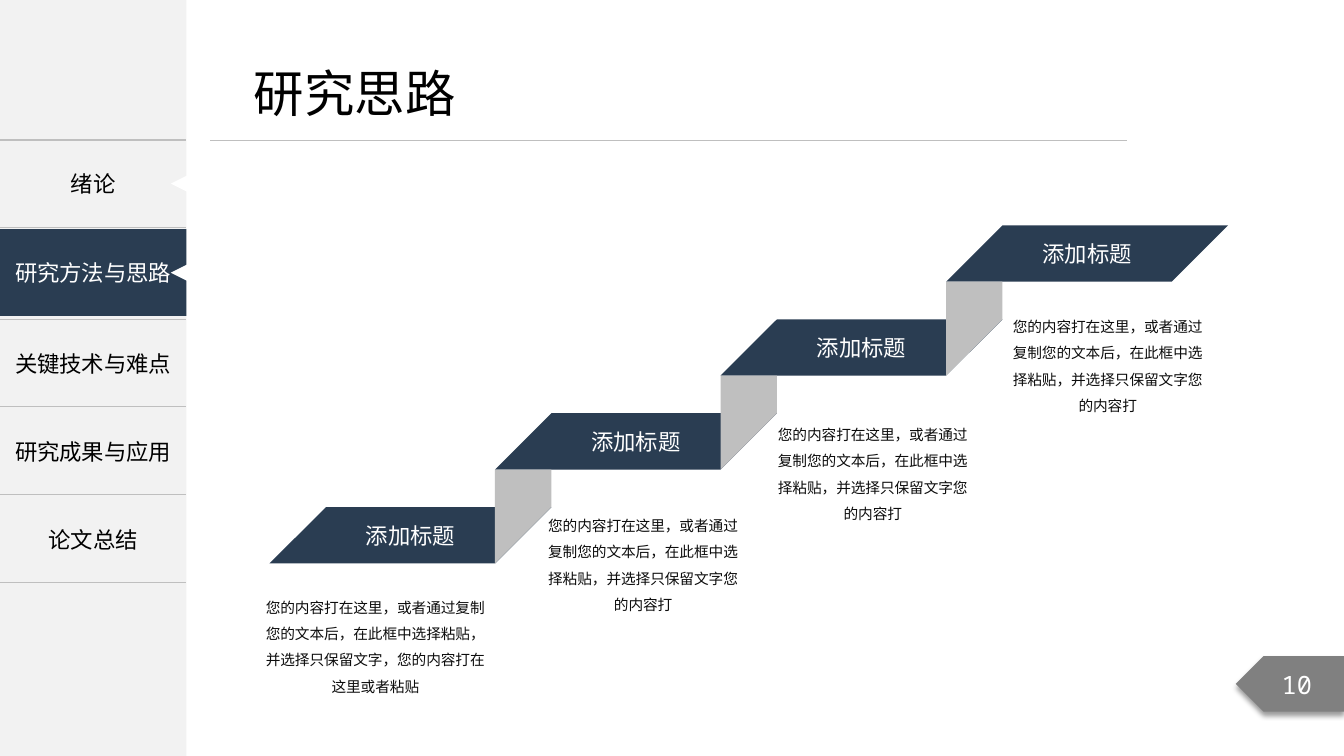
"""Build the research approach slide with its chapter sidebar and rising steps."""
from dataclasses import dataclass

from lxml.etree import SubElement
from pptx import Presentation
from pptx.dml.color import RGBColor
from pptx.enum.shapes import MSO_CONNECTOR, MSO_SHAPE
from pptx.enum.text import MSO_ANCHOR, MSO_AUTO_SIZE, PP_ALIGN
from pptx.oxml.ns import qn
from pptx.shapes.autoshape import Shape
from pptx.slide import Slide
from pptx.table import _Cell
from pptx.text.text import TextFrame
from pptx.util import Pt

NAVY = RGBColor(0x2A, 0x3D, 0x52)
WHITE = RGBColor(0xFF, 0xFF, 0xFF)
BLACK = RGBColor(0x00, 0x00, 0x00)
INK = RGBColor(0x0D, 0x0D, 0x0D)
PALE = RGBColor(0xF2, 0xF2, 0xF2)
SILVER = RGBColor(0xBF, 0xBF, 0xBF)
GREY = RGBColor(0x80, 0x80, 0x80)

CHINESE = "Noto Sans CJK SC"
SIDEBAR_WIDTH = 133.2
SIDEBAR_TOP = 100
ROW_HEIGHTS = (62.64, 65.4, 62.64, 62.64, 62.64)
CHAPTERS = ("", "", "关键技术与难点", "研究成果与应用", "论文总结")
STEP_LEFT, STEP_TOP = 192.5, 362.3
STEP_WIDTH, STEP_HEIGHT = 201.4, 40.2
STEP_RUN, STEP_RISE = 161.1, 67.1
SHORT_NOTE = "您的内容打在这里，或者通过复制您的文本后，在此框中选择粘贴，并选择只保留文字您的内容打"
LONG_NOTE = "您的内容打在这里，或者通过复制您的文本后，在此框中选择粘贴，并选择只保留文字，您的内容打在这里或者粘贴"

NOTE_FRAME = {
    "word_wrap": True, "auto_size": MSO_AUTO_SIZE.SHAPE_TO_FIT_TEXT,
    "margin_left": Pt(3.6), "margin_right": Pt(3.6),
    "margin_top": Pt(2.2), "margin_bottom": Pt(2.2),
}
MIDDLE_FRAME = {"word_wrap": True, "vertical_anchor": MSO_ANCHOR.MIDDLE}
TITLE_FRAME = {
    "word_wrap": False, "auto_size": MSO_AUTO_SIZE.SHAPE_TO_FIT_TEXT,
    "vertical_anchor": MSO_ANCHOR.TOP,
}


@dataclass(frozen=True)
class Box:
    left: float
    top: float
    width: float
    height: float

    def lengths(self) -> tuple[Pt, Pt, Pt, Pt]:
        return Pt(self.left), Pt(self.top), Pt(self.width), Pt(self.height)


@dataclass(frozen=True)
class Note:
    box: Box
    text: str


@dataclass(frozen=True)
class Tab:
    top: float
    text: str
    color: RGBColor
    fill: RGBColor | None


NOTES = (
    Note(Box(182.9, 419, 170.6, 80), LONG_NOTE),
    Note(Box(383.8, 360.7, 151.2, 80), SHORT_NOTE),
    Note(Box(547.9, 295.5, 151.2, 80), SHORT_NOTE),
    Note(Box(715.7, 218.5, 151.2, 80), SHORT_NOTE),
)
TABS = (
    Tab(SIDEBAR_TOP, "绪论", BLACK, None),
    Tab(163.6, "研究方法与思路", WHITE, NAVY),
)


def apply_format(target: object, values: dict[str, object]) -> None:
    for name, value in values.items():
        setattr(target, name, value)


def write(frame: TextFrame, text: str, size: float, color: RGBColor, font: str = CHINESE,
          align: PP_ALIGN = PP_ALIGN.CENTER, spacing: float = 1.0) -> None:
    para = frame.paragraphs[0]
    apply_format(para, {"alignment": align, "line_spacing": spacing})
    span = para.add_run()
    span.text = text
    apply_format(span.font, {"size": Pt(size), "name": font})
    span.font.color.rgb = color
    SubElement(span.font._element, qn("a:ea"), typeface=font)


def paint(shape: Shape, color: RGBColor | None) -> Shape:
    shape.shadow.inherit = False
    shape.line.fill.background()
    if color is None:
        shape.fill.background()
    else:
        shape.fill.solid()
        shape.fill.fore_color.rgb = color
    return shape


def add_block(page: Slide, kind: MSO_SHAPE, box: Box, color: RGBColor | None) -> Shape:
    return paint(page.shapes.add_shape(kind, *box.lengths()), color)


def set_borders(cell: _Cell) -> None:
    properties = cell._tc.get_or_add_tcPr()
    for side in ("L", "R"):
        SubElement(SubElement(properties, qn(f"a:ln{side}")), qn("a:noFill"))
    for side in ("T", "B"):
        edge = SubElement(properties, qn(f"a:ln{side}"), w=str(Pt(1)))
        SubElement(SubElement(edge, qn("a:solidFill")), qn("a:srgbClr"), val=str(SILVER))


def add_sidebar(page: Slide) -> None:
    add_block(page, MSO_SHAPE.RECTANGLE, Box(0, 0, SIDEBAR_WIDTH, 540), PALE)
    box = Box(0, SIDEBAR_TOP, SIDEBAR_WIDTH, sum(ROW_HEIGHTS))
    table = page.shapes.add_table(len(CHAPTERS), 1, *box.lengths()).table
    apply_format(table, {"first_row": False, "horz_banding": False})
    for row, height, chapter in zip(table.rows, ROW_HEIGHTS, CHAPTERS):
        row.height = Pt(height)
        cell = row.cells[0]
        set_borders(cell)
        cell.fill.background()
        cell.vertical_anchor = MSO_ANCHOR.MIDDLE
        if chapter:
            write(cell.text_frame, chapter, 16, BLACK)
    for tab in TABS:
        label = add_block(page, MSO_SHAPE.RECTANGLE, Box(0, tab.top, SIDEBAR_WIDTH, 62), tab.fill)
        apply_format(label.text_frame, MIDDLE_FRAME)
        write(label.text_frame, tab.text, 16, tab.color)
        pointer = Box(SIDEBAR_WIDTH - 11.2, tab.top + 25.4, 11.5, 11.5)
        add_block(page, MSO_SHAPE.ISOSCELES_TRIANGLE, pointer, WHITE).rotation = 270


def add_heading(page: Slide) -> None:
    title = page.shapes.title
    box = Box(174.2, 41, 159.8, 51)
    apply_format(title, dict(zip(("left", "top", "width", "height"), box.lengths())))
    apply_format(title.text_frame, TITLE_FRAME)
    write(title.text_frame, "研究思路", 36, BLACK, align=PP_ALIGN.LEFT)
    rule = page.shapes.add_connector(MSO_CONNECTOR.STRAIGHT, Pt(150.3), Pt(100), Pt(805), Pt(100))
    rule.line.color.rgb = SILVER
    rule.line.width = Pt(0.5)
    SubElement(rule._element.spPr, qn("a:effectLst"))


def add_page_number(page: Slide) -> None:
    badge = add_block(page, MSO_SHAPE.PENTAGON, Box(882.7, 468.7, 77.3, 39.6), GREY)
    badge._element.spPr.xfrm.set("flipH", "1")
    effects = badge._element.spPr.find(qn("a:effectLst"))
    shadow = SubElement(effects, qn("a:outerShdw"), blurRad=str(Pt(4)), dist=str(Pt(3)),
                        dir="5400000", algn="t", rotWithShape="0")
    SubElement(SubElement(shadow, qn("a:srgbClr"), val=str(BLACK)), qn("a:alpha"), val="40000")
    apply_format(badge.text_frame, MIDDLE_FRAME)
    write(badge.text_frame, "10", 18, WHITE, "Noto Sans Mono")


def add_riser(page: Slide, left: float, top: float) -> None:
    right, bottom = left + STEP_HEIGHT, top + STEP_RISE
    builder = page.shapes.build_freeform(Pt(left), Pt(bottom))
    corners = ((left, top), (right, top), (right, bottom - STEP_HEIGHT))
    builder.add_line_segments([(Pt(x), Pt(y)) for x, y in corners])
    paint(builder.convert_to_shape(), SILVER)


def add_steps(page: Slide) -> None:
    for index, note in enumerate(NOTES):
        left, top = STEP_LEFT + index * STEP_RUN, STEP_TOP - index * STEP_RISE
        step = add_block(page, MSO_SHAPE.FLOWCHART_DATA, Box(left, top, STEP_WIDTH, STEP_HEIGHT), NAVY)
        apply_format(step.text_frame, MIDDLE_FRAME)
        write(step.text_frame, "添加标题", 16, WHITE, "Arial")
        if index:
            add_riser(page, left, top + STEP_HEIGHT)
    for note in NOTES:
        frame = page.shapes.add_textbox(*note.box.lengths()).text_frame
        apply_format(frame, NOTE_FRAME)
        write(frame, note.text, 10.5, INK, spacing=1.5)


def main() -> None:
    deck = Presentation()
    apply_format(deck, {"slide_width": Pt(960), "slide_height": Pt(540)})
    page = deck.slides.add_slide(deck.slide_layouts[5])
    add_sidebar(page)
    add_heading(page)
    add_page_number(page)
    add_steps(page)
    deck.save("out.pptx")


if __name__ == "__main__":
    main()
